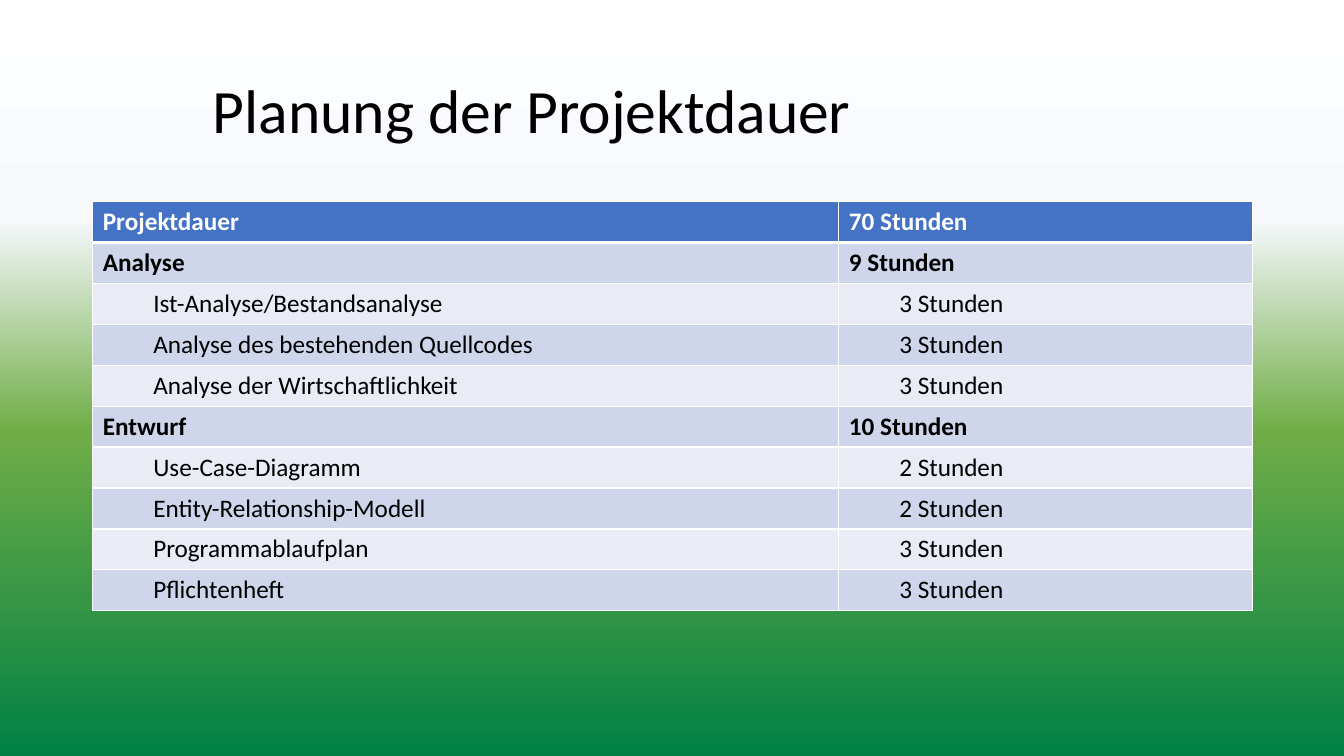
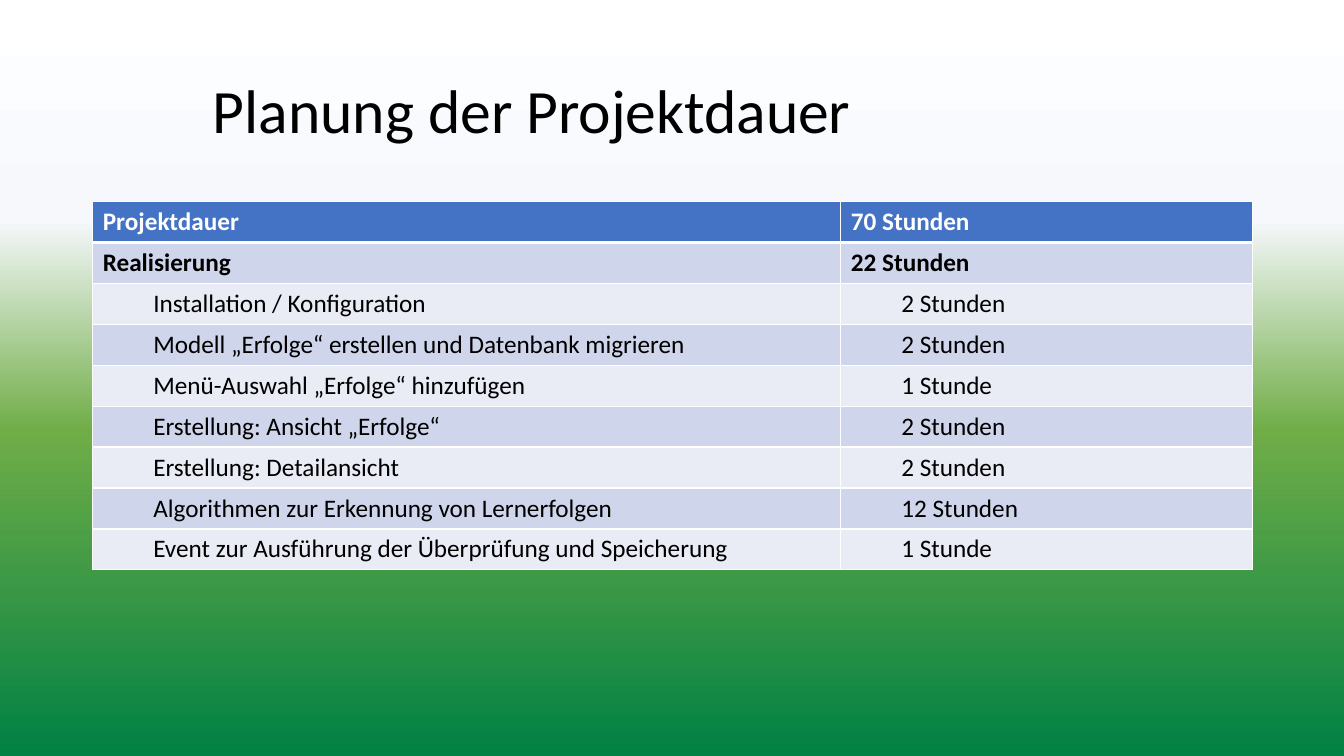
from lxml import etree
from pptx import Presentation
from pptx.dml.color import RGBColor
from pptx.enum import text
from pptx.oxml.ns import qn
from pptx.util import Inches, Pt

WHITE = RGBColor(0xFF, 0xFF, 0xFF)
BLACK = RGBColor(0, 0, 0)
BLUE = RGBColor(0x44, 0x72, 0xC4)
BANDS = RGBColor(0xCF, 0xD5, 0xEA), RGBColor(0xE9, 0xEB, 0xF5)
FADE = [(0, WHITE), (29, RGBColor(0xF6, 0xF8, 0xFC)),
        (57, RGBColor(0x70, 0xAD, 0x47)), (100, RGBColor(0, 0x81, 0x44))]
FONT = "Calibri"
TITLE = "Planung der Projektdauer"
TITLE_BOX = 2.01, 0.4, 10.41, 1.45
TABLE_BOX = 0.92, 2, 11.5
ROW = 0.406
HEAD = "Projektdauer", "70 Stunden"

# Each plan: width of the first column, then phases with their total and steps
PLANS = [
    (7.4, [
        ("Analyse", "9 Stunden", [
            ("Ist-Analyse/Bestandsanalyse", "3 Stunden"),
            ("Analyse des bestehenden Quellcodes", "3 Stunden"),
            ("Analyse der Wirtschaftlichkeit", "3 Stunden")]),
        ("Entwurf", "10 Stunden", [
            ("Use-Case-Diagramm", "2 Stunden"),
            ("Entity-Relationship-Modell", "2 Stunden"),
            ("Programmablaufplan", "3 Stunden"),
            ("Pflichtenheft", "3 Stunden")])]),
    (7.42, [
        ("Realisierung", "22 Stunden", [
            ("Installation / Konfiguration", "2 Stunden"),
            ("Modell „Erfolge“ erstellen und Datenbank migrieren", "2 Stunden"),
            ("Menü-Auswahl „Erfolge“ hinzufügen", "1 Stunde"),
            ("Erstellung: Ansicht „Erfolge“", "2 Stunden"),
            ("Erstellung: Detailansicht", "2 Stunden"),
            ("Algorithmen zur Erkennung von Lernerfolgen", "12 Stunden"),
            ("Event zur Ausführung der Überprüfung und Speicherung",
             "1 Stunde")])]),
]


def set_back(master):
    """Give all slides the fade from white to green."""
    fill = master.background.fill
    fill.gradient()
    fill.gradient_angle = 270
    stops = master.element.find(".//" + qn("a:gsLst"))
    for old in list(stops):
        stops.remove(old)
    for pos, color in FADE:
        stop = etree.SubElement(stops, qn("a:gs"), pos=str(pos * 1000))
        etree.SubElement(stop, qn("a:srgbClr"), val=str(color))


def style(par, size, color, bold=False):
    for run in par.runs:
        font = run.font
        font.name, font.size, font.bold = FONT, Pt(size), bold
        font.color.rgb = color


def add_title(slide, box):
    title = slide.shapes.title
    title.left, title.top, title.width, title.height = map(Inches, box)
    frame = title.text_frame
    frame.text = TITLE
    frame.vertical_anchor = text.MSO_ANCHOR.MIDDLE
    par = frame.paragraphs[0]
    par.alignment = text.PP_ALIGN.LEFT
    par.line_spacing = 0.9
    style(par, 44, BLACK)


def set_edges(cell, row):
    """Draw white cell borders, with a thick one below the header."""
    props = cell._tc.get_or_add_tcPr()
    thick = {0: "lnB", 1: "lnT"}.get(row)
    for side in ("lnL", "lnR", "lnT", "lnB"):
        width = Pt(3 if side == thick else 1)
        line = etree.SubElement(props, qn("a:" + side), w=str(width))
        paint = etree.SubElement(line, qn("a:solidFill"))
        etree.SubElement(paint, qn("a:srgbClr"), val=str(WHITE))


def fill_cell(cell, words, row, step):
    set_edges(cell, row)
    cell.fill.solid()
    cell.fill.fore_color.rgb = BANDS[(row - 1) % 2] if row else BLUE
    cell.text_frame.text = words
    par = cell.text_frame.paragraphs[0]
    if step:
        par.level = 1
        par._p.get_or_add_pPr().set("marL", str(Inches(0.5)))
    style(par, 18, BLACK if row else WHITE, not step)


def add_plan(slide, box, split, phases):
    rows = [(HEAD, False)]
    for name, total, steps in phases:
        rows.append(((name, total), False))
        rows += [(step, True) for step in steps]
    left, top, width = box
    table = slide.shapes.add_table(
        len(rows), 2, Inches(left), Inches(top), Inches(width),
        Inches(ROW * len(rows))).table
    for col, size in zip(table.columns, (split, width - split)):
        col.width = Inches(size)
    for i, (pair, step) in enumerate(rows):
        for j, words in enumerate(pair):
            fill_cell(table.cell(i, j), words, i, step)


def main():
    prs = Presentation()
    prs.slide_width, prs.slide_height = Inches(13.33), Inches(7.5)
    set_back(prs.slide_master)
    for split, phases in PLANS:
        slide = prs.slides.add_slide(prs.slide_layouts[5])
        add_title(slide, TITLE_BOX)
        add_plan(slide, TABLE_BOX, split, phases)
    prs.save("out.pptx")


if __name__ == "__main__":
    main()
